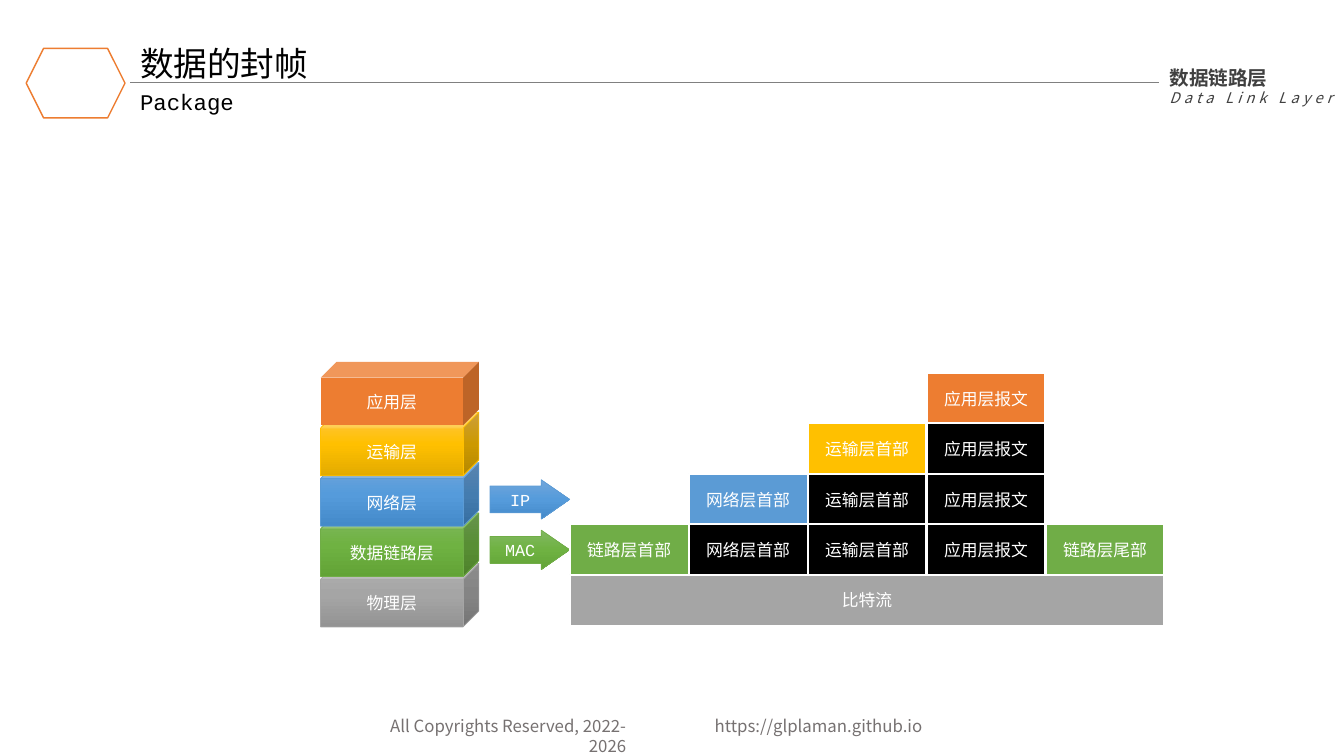
from copy import deepcopy
from dataclasses import dataclass

from lxml.etree import SubElement
from pptx import Presentation
from pptx.dml.color import RGBColor
from pptx.enum.shapes import MSO_CONNECTOR as Connector, MSO_SHAPE as Preset
from pptx.enum.text import MSO_ANCHOR as Anchor, MSO_AUTO_SIZE as AutoSize, PP_ALIGN as Align
from pptx.oxml.ns import qn
from pptx.shapes.autoshape import Shape
from pptx.slide import Slide
from pptx.text.text import TextFrame, _Paragraph as Paragraph
from pptx.util import Inches, Pt

WHITE = RGBColor(0xFF, 0xFF, 0xFF)
BLACK = RGBColor(0x00, 0x00, 0x00)
ORANGE = RGBColor(0xED, 0x7D, 0x31)
YELLOW = RGBColor(0xFF, 0xC0, 0x00)
BLUE = RGBColor(0x5B, 0x9B, 0xD5)
GREEN = RGBColor(0x70, 0xAD, 0x47)
GRAY = RGBColor(0xA5, 0xA5, 0xA5)
DARK_GRAY = RGBColor(0x40, 0x40, 0x40)
RULE_GRAY = RGBColor(0x80, 0x80, 0x80)
FOOTER_GRAY = RGBColor(0x76, 0x71, 0x71)
YELLOW_SHADES = (RGBColor(0xFF, 0xC6, 0x4B), YELLOW, RGBColor(0xE3, 0xAB, 0x00))
BLUE_SHADES = (RGBColor(0x71, 0xA6, 0xDB), RGBColor(0x55, 0x9B, 0xDB), RGBColor(0x44, 0x8A, 0xCA))
GREEN_SHADES = (RGBColor(0x81, 0xB8, 0x61), RGBColor(0x6F, 0xB2, 0x42), RGBColor(0x62, 0xA3, 0x36))
GRAY_SHADES = (RGBColor(0xAF, 0xAF, 0xAF), GRAY, RGBColor(0x93, 0x93, 0x93))

SANS, MONO = "Noto Sans CJK SC", "Courier New"
GRID_LEFT, GRID_TOP = 5.65, 3.7
COLUMN, ROW, BLOCK_HEIGHT = 1.18, 0.5, 0.51
CUBE_LEFT, CUBE_RISE = 3.18, 0.11
ARROW_LEFT, ARROW_DROP = 4.86, 0.06
MARGIN, RULE_Y, RULE_END = 1.29, 0.82, 11.5


@dataclass(frozen=True)
class Box:
    left: float
    top: float
    width: float
    height: float

    def lengths(self) -> tuple[Inches, ...]:
        return tuple(Inches(n) for n in (self.left, self.top, self.width, self.height))


@dataclass(frozen=True)
class TextStyle:
    size: float
    color: RGBColor
    font: str = SANS
    bold: bool = False
    italic: bool = False
    spacing: float = 0
    align: Align = Align.LEFT


@dataclass(frozen=True)
class Layer:
    name: str
    unit: str
    color: RGBColor
    shades: tuple[RGBColor, ...] = ()
    address: str = ""


@dataclass(frozen=True)
class Caption:
    box: Box
    lines: tuple[tuple[str, TextStyle], ...]
    wrap: bool = True


LABEL = TextStyle(12, WHITE, MONO, align=Align.CENTER)
TITLE = TextStyle(24, BLACK)
LAYERS = (
    Layer("应用层", "应用层报文", ORANGE),
    Layer("运输层", "运输层首部", YELLOW, YELLOW_SHADES),
    Layer("网络层", "网络层首部", BLUE, BLUE_SHADES, "IP"),
    Layer("数据链路层", "链路层首部", GREEN, GREEN_SHADES, "MAC"),
    Layer("物理层", "比特流", GRAY, GRAY_SHADES),
)
FRAMED = LAYERS[:-1]
LINK_ROW, BIT_ROW = len(FRAMED) - 1, len(FRAMED)
CAPTIONS = (
    Caption(Box(6.99, 7.05, 3.61, 0.3),
            (("https://glplaman.github.io", TextStyle(12, FOOTER_GRAY)),)),
    Caption(Box(3.41, 7.05, 2.9, 0.3),
            (("All Copyrights Reserved, 2022-2026", TextStyle(12, FOOTER_GRAY, align=Align.RIGHT)),)),
    Caption(Box(RULE_END, 0.6, 1.85, 0.51),
            (("数据链路层", TextStyle(14, DARK_GRAY, bold=True)),
             ("Data Link Layer", TextStyle(10.5, DARK_GRAY, italic=True, spacing=3))), wrap=False),
    Caption(Box(MARGIN, RULE_Y, 3.01, 0.35), (("Package", TextStyle(16, BLACK, MONO)),)),
)


def write(para: Paragraph, text: str, style: TextStyle) -> None:
    """Put styled text in a paragraph."""
    para.text = text
    para.alignment = style.align
    for span in para.runs:
        font = span.font
        font.size, font.name = Pt(style.size), style.font
        font.bold, font.italic = style.bold, style.italic
        font.color.rgb = style.color
        properties = span._r.get_or_add_rPr()
        SubElement(properties, qn("a:ea")).set("typeface", SANS)
        if style.spacing:
            properties.set("spc", str(round(style.spacing * 100)))


def add_caption(page: Slide, caption: Caption) -> None:
    """Add a text box with one paragraph per line."""
    frame: TextFrame = page.shapes.add_textbox(*caption.box.lengths()).text_frame
    frame.word_wrap = caption.wrap
    for index, (text, style) in enumerate(caption.lines):
        para = frame.add_paragraph() if index else frame.paragraphs[0]
        write(para, text, style)


def add_label(page: Slide, preset: Preset, box: Box, text: str, color: RGBColor) -> Shape:
    """Add a solid shape with a centred label."""
    shape = page.shapes.add_shape(preset, *box.lengths())
    shape.shadow.inherit = False
    shape.fill.solid()
    shape.fill.fore_color.rgb = color
    shape.line.fill.background()
    shape.text_frame.word_wrap = True
    shape.text_frame.vertical_anchor = Anchor.MIDDLE
    write(shape.text_frame.paragraphs[0], text, LABEL)
    return shape


def outline(shape: Shape, color: RGBColor, width: float) -> None:
    """Give a shape a plain outline."""
    shape.line.color.rgb = color
    shape.line.width = Pt(width)


def shade(shape: Shape, layer: Layer) -> None:
    """Fill a shape from top to bottom with the shades of its layer."""
    if not layer.shades:
        return
    shape.fill.gradient()
    shape.fill.gradient_angle = 270
    stops = shape._element.spPr.find(qn("a:gradFill")).find(qn("a:gsLst"))
    stops.insert(1, deepcopy(stops[0]))
    for index, (stop, color) in enumerate(zip(shape.fill.gradient_stops, layer.shades)):
        stop.color.rgb = color
        stop.position = index / 2
    outline(shape, layer.color, 0.5)


def add_block(page: Slide, column: int, row: int, text: str, color: RGBColor, span: int = 1) -> None:
    """Add a block of the frame on the grid."""
    box = Box(GRID_LEFT + column * COLUMN, GRID_TOP + row * ROW, span * COLUMN, BLOCK_HEIGHT)
    outline(add_label(page, Preset.RECTANGLE, box, text, color), WHITE, 1.5)


def add_header(page: Slide) -> None:
    """Add the emblem, the rule, the title and the captions."""
    emblem = page.shapes.add_shape(Preset.HEXAGON, *Box(0.26, 0.48, 0.98, 0.69).lengths())
    emblem.shadow.inherit = False
    emblem.fill.background()
    outline(emblem, ORANGE, 1)
    rule = page.shapes.add_connector(
        Connector.STRAIGHT, Inches(MARGIN), Inches(RULE_Y), Inches(RULE_END), Inches(RULE_Y))
    rule.line.color.rgb = RULE_GRAY
    rule.line.width = Pt(1)
    SubElement(rule._element.spPr, qn("a:effectLst"))
    title = page.shapes.title
    title.left, title.top, title.width, title.height = Box(MARGIN, 0.38, 10.21, 0.55).lengths()
    title.text_frame.auto_size = AutoSize.NONE
    title.text_frame.vertical_anchor = Anchor.MIDDLE
    para = title.text_frame.paragraphs[0]
    write(para, "数据的封帧", TITLE)
    para.line_spacing = 0.9
    for caption in CAPTIONS:
        add_caption(page, caption)


def add_stack(page: Slide) -> None:
    """Add the layer cubes from the bottom up and their address arrows."""
    for row, layer in reversed(list(enumerate(LAYERS))):
        top = GRID_TOP + row * ROW
        cube = Box(CUBE_LEFT, top - CUBE_RISE, 1.57, 0.63)
        shade(add_label(page, Preset.CUBE, cube, layer.name, layer.color), layer)
        if layer.address:
            box = Box(ARROW_LEFT, top + ARROW_DROP, 0.79, 0.39)
            arrow = add_label(page, Preset.RIGHT_ARROW, box, layer.address, layer.color)
            arrow.adjustments[0], arrow.adjustments[1] = 0.68, 0.72
            shade(arrow, layer)


def add_frames(page: Slide) -> None:
    """Add the data unit of each layer, its new part coloured."""
    for row, layer in enumerate(FRAMED):
        for inner, part in enumerate(FRAMED[:row + 1]):
            add_block(page, LINK_ROW - inner, row, part.unit, layer.color if part is layer else BLACK)
    add_block(page, len(FRAMED), LINK_ROW, "链路层尾部", GREEN)
    add_block(page, 0, BIT_ROW, LAYERS[BIT_ROW].unit, GRAY, span=len(LAYERS))


def main() -> None:
    """Build the slide and save it."""
    deck = Presentation()
    deck.slide_width, deck.slide_height = Inches(13.33), Inches(7.5)
    page = deck.slides.add_slide(deck.slide_layouts[5])
    add_header(page)
    add_stack(page)
    add_frames(page)
    deck.save("out.pptx")


if __name__ == "__main__":
    main()
